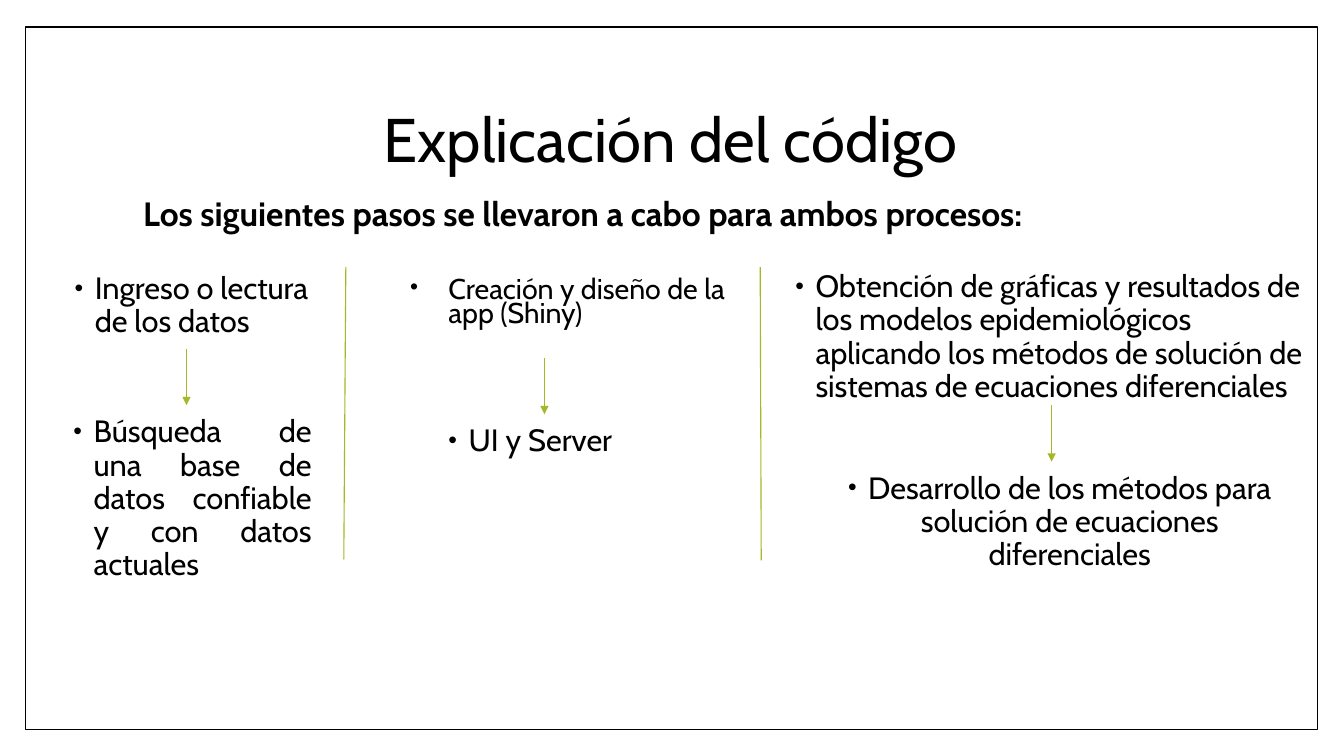
from dataclasses import dataclass

from lxml.etree import SubElement
from pptx import Presentation
from pptx.dml.color import RGBColor
from pptx.enum.shapes import MSO_CONNECTOR, MSO_SHAPE
from pptx.enum.text import MSO_ANCHOR as Anchor, MSO_AUTO_SIZE, PP_ALIGN as Align
from pptx.oxml.ns import qn
from pptx.util import Inches, Pt


@dataclass(frozen=True)
class Theme:
    font: str = "Cabin"
    ink: RGBColor = RGBColor(0x00, 0x00, 0x00)
    paper: RGBColor = RGBColor(0xFF, 0xFF, 0xFF)
    accent: RGBColor = RGBColor(0xA6, 0xB7, 0x27)
    title: float = 44
    lead: float = 24
    step: float = 22
    small_step: float = 20.4
    rule: float = 0.79


THEME = Theme()

# Each column: first step, arrow start, second step.
# A step is its text, its box and its format.
COLUMNS = [
    (("Ingreso o lectura de los datos", (0.59, 2.66, 2.61, 0.89), {}),
     (1.85, 3.46),
     ("Búsqueda de una base de datos confiable y con datos actuales",
      (0.58, 4.08, 2.61, 2.33), {"align": Align.JUSTIFY})),
    (("Creación y diseño de la app (Shiny)", (3.93, 2.73, 3.6, 0.59),
      {"size": THEME.small_step, "spacing": 0.7, "indent": (0.42, -0.38)}),
     (5.4, 3.55),
     ("UI y Server", (3.93, 4.17, 2.61, 2.33), {"align": Align.CENTER})),
    (("Obtención de gráficas y resultados de los modelos epidemiológicos "
      "aplicando los métodos de solución de sistemas de ecuaciones diferenciales",
      (7.74, 2.64, 5.32, 1.5), {}),
     (10.43, 4.02),
     ("Desarrollo de los métodos para solución de ecuaciones diferenciales",
      (8.1, 4.64, 4.77, 1.98), {"align": Align.CENTER})),
]
ARROW_LENGTH = 0.56
DIVIDERS = [((3.43, 2.65), (3.41, 5.55)), ((7.54, 2.65), (7.55, 5.56))]


def place(shape, box):
    shape.left, shape.top, shape.width, shape.height = map(Inches, box)


def set_bullet(paragraph, indent):
    """Hang a black bullet at the given indent, or none without an indent."""
    properties = paragraph._p.get_or_add_pPr()
    left, first = indent or (0, 0)
    properties.set("marL", str(Inches(left)))
    properties.set("indent", str(Inches(first)))
    if not indent:
        SubElement(properties, qn("a:buNone"))
        return
    colour = SubElement(properties, qn("a:buClr"))
    SubElement(colour, qn("a:srgbClr"), val=str(THEME.ink))
    SubElement(properties, qn("a:buSzPct"), val="80000")
    SubElement(properties, qn("a:buFont"), typeface="Arial")
    SubElement(properties, qn("a:buChar"), char="•")


def write(shape, text, size=THEME.step, bold=False, align=Align.LEFT,
          anchor=Anchor.TOP, spacing=0.9, indent=None):
    frame = shape.text_frame
    frame.word_wrap = True
    frame.auto_size = MSO_AUTO_SIZE.NONE
    frame.vertical_anchor = anchor
    paragraph = frame.paragraphs[0]
    set_bullet(paragraph, indent)
    paragraph.alignment = align
    paragraph.line_spacing = spacing
    paragraph.space_before = Pt(0)
    run = paragraph.add_run()
    run.text = text
    run.font.name = THEME.font
    run.font.size = Pt(size)
    run.font.bold = bold
    run.font.color.rgb = THEME.ink


def add_line(slide, start, end, arrow=False):
    line = slide.shapes.add_connector(
        MSO_CONNECTOR.STRAIGHT, *map(Inches, (*start, *end)))
    line.line.color.rgb = THEME.accent
    line.line.width = Pt(THEME.rule)
    if arrow:
        SubElement(line.line._get_or_add_ln(), qn("a:tailEnd"), type="triangle")
    SubElement(line._element.spPr, qn("a:effectLst"))


def add_frame(slide, box):
    """Draw the page border behind everything else."""
    border = slide.shapes.add_shape(MSO_SHAPE.RECTANGLE, *map(Inches, box))
    border.shadow.inherit = False
    border.fill.solid()
    border.fill.fore_color.rgb = THEME.paper
    border.line.color.rgb = THEME.ink
    border.line.width = Pt(1)
    slide.shapes._spTree.insert(2, border._element)


def add_heading(title, lead, title_box, lead_box):
    place(title, title_box)
    write(title, "Explicación del código", size=THEME.title,
          align=Align.CENTER, anchor=Anchor.MIDDLE)
    place(lead, lead_box)
    write(lead, "Los siguientes pasos se llevaron a cabo para ambos procesos:",
          size=THEME.lead, bold=True, anchor=Anchor.MIDDLE)


def add_step(slide, step, placeholder=None):
    text, box, style = step
    holder = placeholder or slide.shapes.add_textbox(*map(Inches, box))
    place(holder, box)
    write(holder, text, **{"indent": (0.25, -0.2), **style})


def add_column(slide, column, placeholder=None):
    first, (x, y), second = column
    add_step(slide, first, placeholder)
    add_line(slide, (x, y), (x, y + ARROW_LENGTH), arrow=True)
    add_step(slide, second)


def main():
    deck = Presentation()
    deck.slide_width, deck.slide_height = Inches(13.33), Inches(7.5)
    slide = deck.slides.add_slide(deck.slide_layouts.get_by_name("Two Content"))
    title, lead, first_step = slide.placeholders
    add_frame(slide, (0.25, 0.27, 12.82, 6.97))
    add_heading(title, lead, (1.25, 0.67, 10.8, 1.48), (1.32, 1.7, 10.96, 0.88))
    for column, placeholder in zip(COLUMNS, (first_step, None, None)):
        add_column(slide, column, placeholder)
    for start, end in DIVIDERS:
        add_line(slide, start, end)
    deck.save("out.pptx")


if __name__ == "__main__":
    main()
